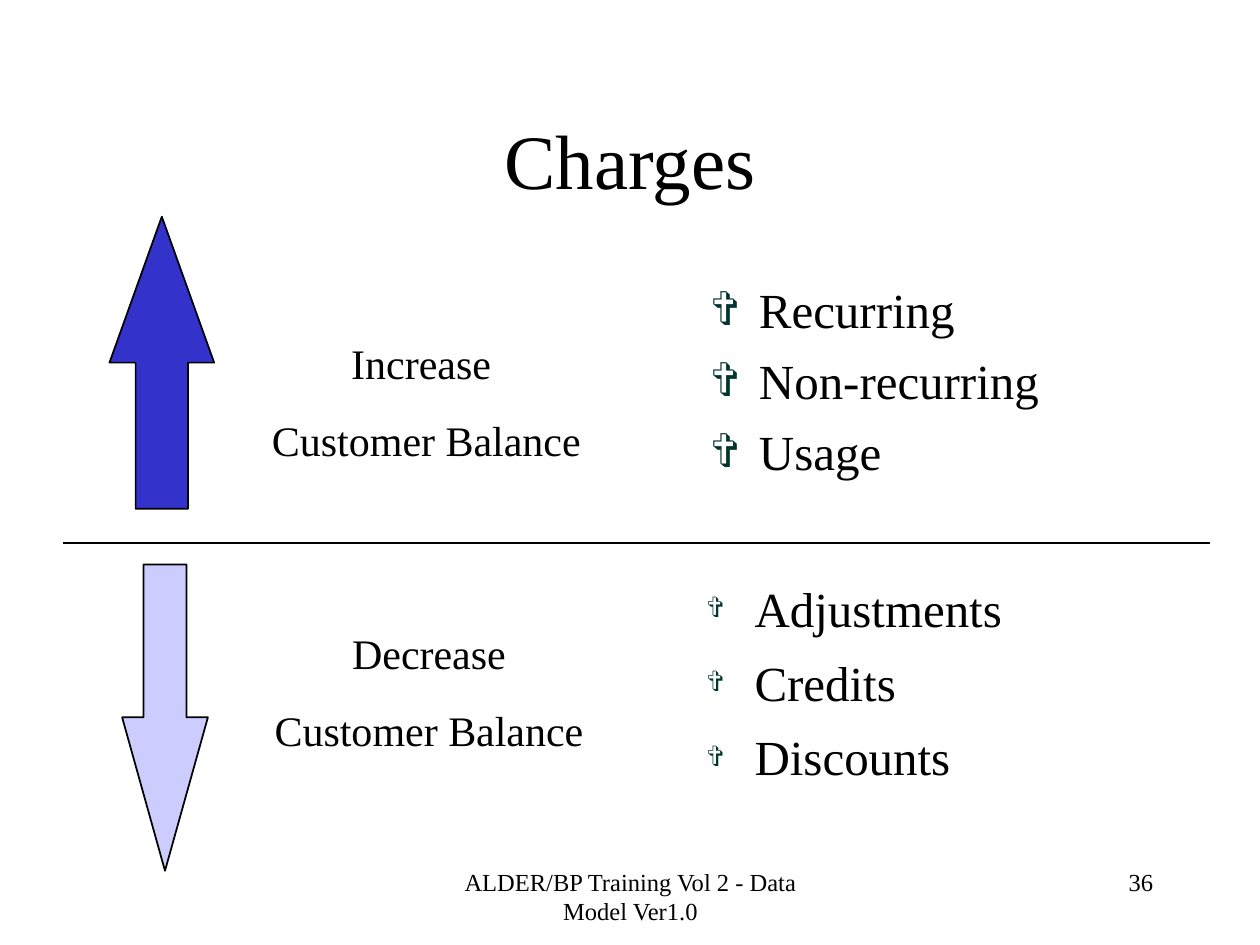
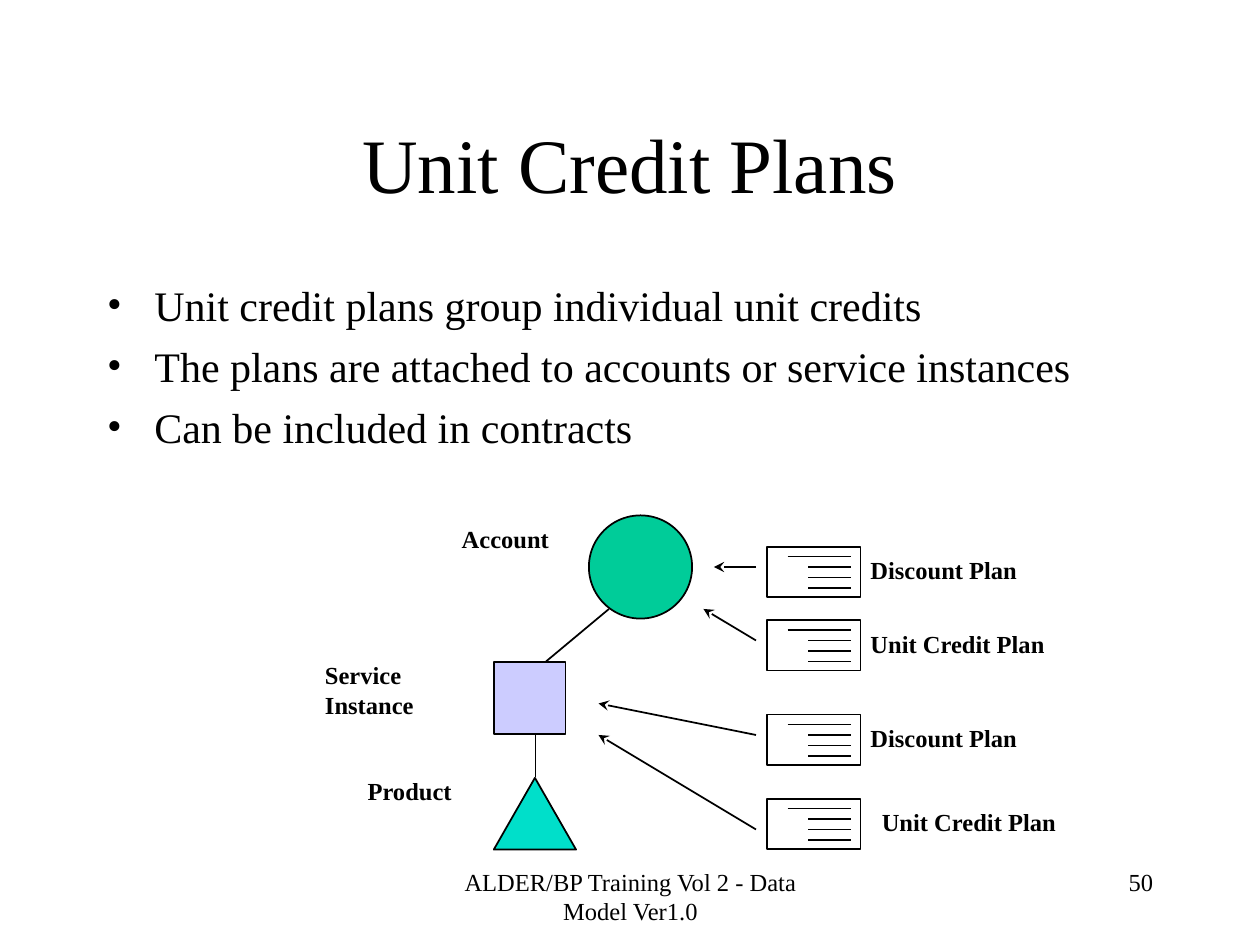
from lxml.etree import SubElement
from pptx import Presentation
from pptx.dml.color import RGBColor
from pptx.enum.shapes import MSO_CONNECTOR, MSO_SHAPE
from pptx.enum.text import MSO_ANCHOR, MSO_AUTO_SIZE, PP_ALIGN
from pptx.oxml.ns import qn
from pptx.util import Pt

FONT = "Times New Roman"
COLORS = {
    "ink": "000000",
    "paper": "FFFFFF",
    "cross": "003530",
    "increase": "3333CC",
    "lavender": "CCCCFF",
    "account": "00CC99",
    "product": "00DFCA",
}
FOOTER = "ALDER/BP Training Vol 2 - Data Model Ver1.0"


def color(name):
    return RGBColor.from_string(COLORS[name])


class Deck:
    def __init__(self):
        self.presentation = Presentation()
        self.presentation.slide_width = Pt(720)
        self.presentation.slide_height = Pt(540)
        self.slide = None

    def start(self, layout, title, title_box, number):
        layouts = self.presentation.slide_layouts
        self.slide = self.presentation.slides.add_slide(layouts.get_by_name(layout))
        heading = self.slide.shapes.title
        self.place(heading, title_box)
        self.set_words(heading.text_frame, title, 44, PP_ALIGN.CENTER)
        heading.text_frame.vertical_anchor = MSO_ANCHOR.MIDDLE
        self.text(FOOTER, (246.2, 491.8, 228.2, 36), 14, PP_ALIGN.CENTER)
        self.text(number, (516.2, 491.8, 149.8, 36), 14, PP_ALIGN.RIGHT)

    def place(self, part, box):
        part.left, part.top, part.width, part.height = map(Pt, box)

    def set_words(self, frame, words, size, align=PP_ALIGN.LEFT, before=0, bold=False):
        frame.text = words
        frame.auto_size = MSO_AUTO_SIZE.NONE
        frame.margin_left = frame.margin_right = Pt(7.2)
        frame.margin_top = frame.margin_bottom = Pt(3.6)
        for paragraph in frame.paragraphs:
            paragraph.alignment = align
            paragraph.space_before = Pt(before)
            for run in paragraph.runs:
                run.font.name = FONT
                run.font.size = Pt(size)
                run.font.bold = bold
                run.font.color.rgb = color("ink")

    def text(self, words, box, size, align=PP_ALIGN.LEFT, before=0, bold=False, wrap=True):
        frame = self.slide.shapes.add_textbox(*map(Pt, box)).text_frame
        self.set_words(frame, words, size, align, before, bold)
        frame.word_wrap = wrap

    def label(self, words, left, top, width, height=23.8):
        self.text(words, (left, top, width, height), 14, bold=True, wrap=False)

    def bullets(self, index, items, box, size, before, mark, mark_color,
                margin, hang, mark_percent=100):
        body = self.slide.placeholders[index]
        self.place(body, box)
        self.set_words(body.text_frame, "\n".join(items), size, before=before)
        body.text_frame.vertical_anchor = MSO_ANCHOR.TOP
        for paragraph in body.text_frame.paragraphs:
            properties = paragraph._p.get_or_add_pPr()
            properties.set("marL", str(Pt(margin)))
            properties.set("indent", str(-Pt(hang)))
            tint = SubElement(properties, qn("a:buClr"))
            SubElement(tint, qn("a:srgbClr"), val=COLORS[mark_color])
            SubElement(properties, qn("a:buSzPct"), val=str(mark_percent * 1000))
            SubElement(properties, qn("a:buFont"), typeface=FONT)
            SubElement(properties, qn("a:buChar"), char=mark)

    def shape(self, kind, box, fill, adjustments=()):
        part = self.slide.shapes.add_shape(kind, *map(Pt, box))
        part.shadow.inherit = False
        part.fill.solid()
        part.fill.fore_color.rgb = color(fill)
        part.line.color.rgb = color("ink")
        part.line.width = Pt(1)
        for position, value in enumerate(adjustments):
            part.adjustments[position] = value

    def line(self, start, end, arrow=False):
        rule = self.slide.shapes.add_connector(
            MSO_CONNECTOR.STRAIGHT, *map(Pt, start + end))
        rule.line.color.rgb = color("ink")
        rule.line.width = Pt(1)
        properties = rule._element.spPr
        if arrow:
            SubElement(properties.find(qn("a:ln")), qn("a:tailEnd"), type="stealth")
        SubElement(properties, qn("a:effectLst"))

    def plan(self, name, top, target, drop=6, label_left=490.3, label_width=114.5):
        self.shape(MSO_SHAPE.RECTANGLE, (438.5, top - 5.6, 53.3, 28.8), "paper")
        for row in range(4):
            y = top + 6 * row
            self.line((462 if row else 450, y), (486, y))
        self.line((432, top + drop), target, arrow=True)
        self.label(name, label_left, top - 4.1, label_width)


def charges(deck):
    deck.start("Two Content", "Charges", (54, 60.5, 612, 59.8), "36")
    deck.bullets(1, ["Recurring", "Non-recurring", "Usage"],
                 (324, 156.2, 352, 150.5), 28, 7, "✞", "cross", 102.5, 27)
    deck.bullets(2, ["Adjustments", "Credits", "Discounts"],
                 (312.5, 326.9, 352, 178.6), 28, 8.8, "✞", "cross", 111.5, 27, 60)
    deck.shape(MSO_SHAPE.UP_ARROW, (62.6, 123.8, 59.8, 167), "increase", (0.5, 1.395))
    deck.shape(MSO_SHAPE.DOWN_ARROW, (69.8, 322.6, 49, 175), "lavender", (0.5, 1.789))
    for effect, left, top in (("Increase ", 145.4, 189.4), ("Decrease", 146.9, 355)):
        deck.text(effect + "\nCustomer Balance", (left, top, 196.6, 80), 24,
                  PP_ALIGN.CENTER, before=15)
    deck.line((36, 310.3), (691.2, 310.3))


def unit_credit_plans(deck):
    deck.start("Title and Content", "Unit Credit Plans", (54, 48, 612, 90), "50")
    deck.bullets(1, ["Unit credit plans group individual unit credits",
                     "The plans are attached to accounts or service instances",
                     "Can be included in contracts"],
                 (54, 156, 612, 324), 24, 6, "•", "ink", 27, 27)
    deck.shape(MSO_SHAPE.OVAL, (336.5, 294.5, 59, 59), "account")
    deck.shape(MSO_SHAPE.RECTANGLE, (282.2, 378.5, 41, 41), "lavender")
    deck.shape(MSO_SHAPE.ISOSCELES_TRIANGLE, (282.2, 444.5, 47, 41), "product")
    deck.line((348, 348), (312, 378))
    deck.line((306, 420), (306, 444))
    deck.label("Account", 256.8, 296, 64.8)
    deck.label("Service\nInstance", 178.6, 373.7, 65.5, 41)
    deck.label("Product", 203, 440, 62.6)
    deck.plan("Discount Plan", 318, (408, 324), label_width=98.6)
    deck.plan("Unit Credit Plan", 360, (402, 348))
    deck.plan("Discount Plan", 414, (342, 402), label_width=98.6)
    deck.plan("Unit Credit Plan", 462, (342, 420), drop=12, label_left=496.8)


def main():
    deck = Deck()
    charges(deck)
    unit_credit_plans(deck)
    deck.presentation.save("out.pptx")


if __name__ == "__main__":
    main()
